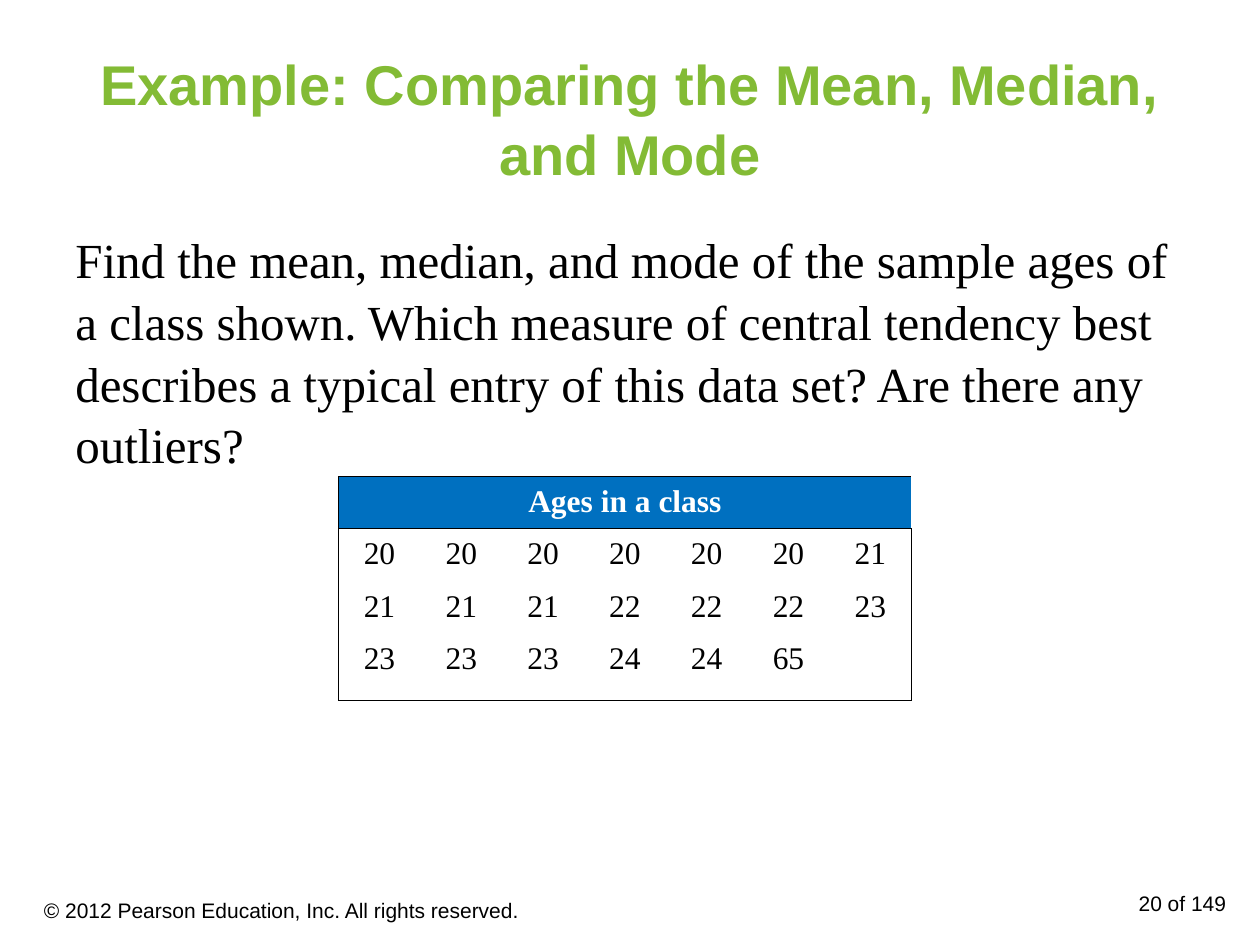
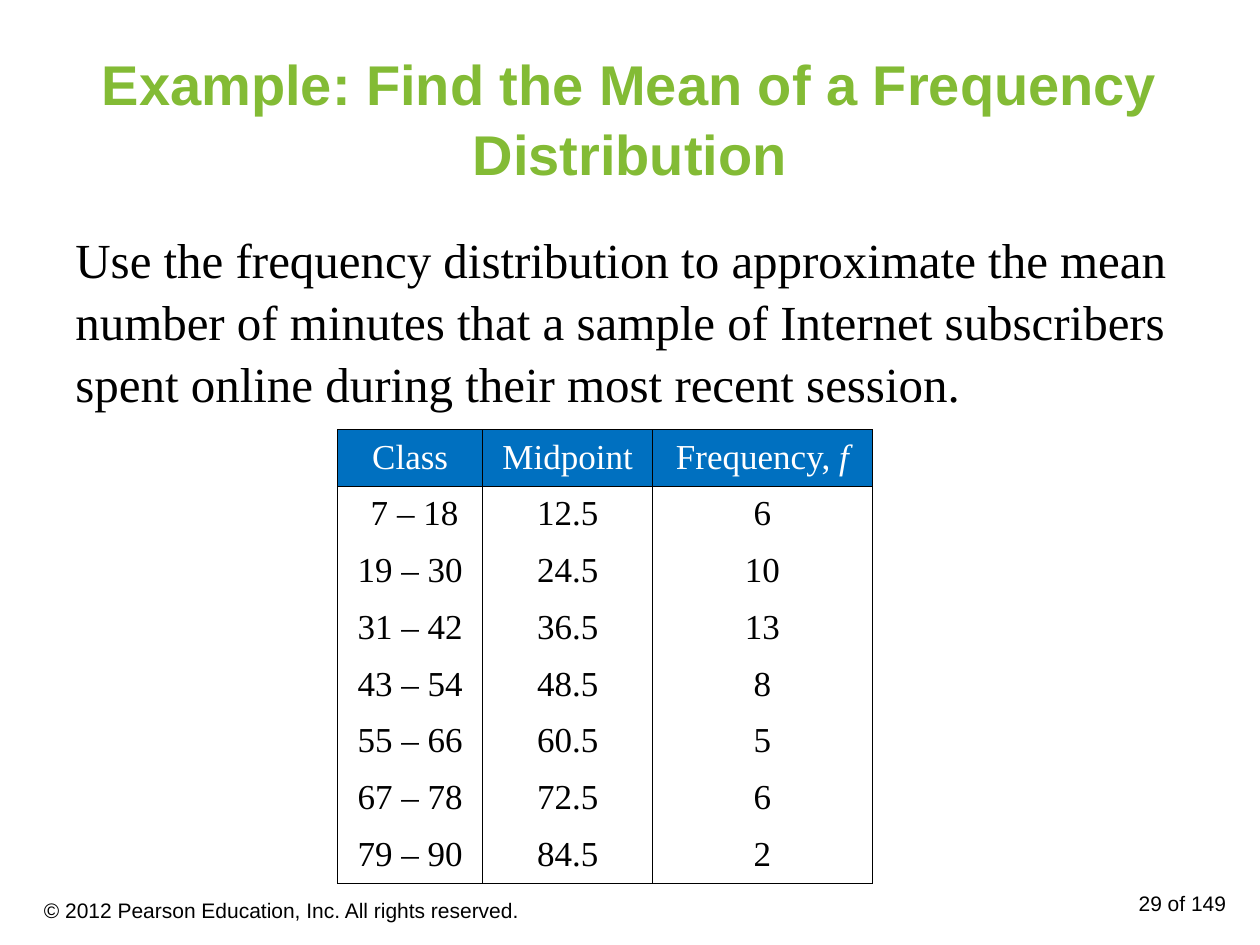
import lxml.etree
import pptx
import pptx.dml.color
import pptx.enum.text
import pptx.oxml.ns
import pptx.util

Pt = pptx.util.Pt
ALIGN = pptx.enum.text.PP_ALIGN
ANCHOR = pptx.enum.text.MSO_ANCHOR

HUES = {"title": "83BB35", "head": "0070C0", "ink": "000000", "pale": "FFFFFF"}
SANS, SERIF = "Arial", "Times New Roman"
LEAD = 1.05
RULE = 0.45
TOTAL = 149

TITLE = (36, 21.6, 648, 90)
NUMBER = (540, 505.44, 167.76, 28.8)
RIGHTS = (18, 505.44, 342, 28.8)

AGES = [
    [20, 20, 20, 20, 20, 20, 21],
    [21, 21, 21, 22, 22, 22, 23],
    [23, 23, 23, 24, 24, 65, ""],
]
MINUTES = [
    [" 7 – 18", 12.5, 6],
    ["19 – 30", 24.5, 10],
    ["31 – 42", 36.5, 13],
    ["43 – 54", 48.5, 8],
    ["55 – 66", 60.5, 5],
    ["67 – 78", 72.5, 6],
    ["79 – 90", 84.5, 2],
]


def color(name):
    return pptx.dml.color.RGBColor.from_string(HUES[name])


def write(para, text, size, face, hue="ink", bold=False, italic=False):
    run = para.add_run()
    run.text = text
    font = run.font
    font.size, font.name = Pt(size), face
    font.bold, font.italic = bold, italic
    font.color.rgb = color(hue)


def label(slide, box, text, size, face, hue="ink", bold=False,
          align=ALIGN.LEFT, anchor=ANCHOR.TOP, lead=1.0):
    frame = slide.shapes.add_textbox(*map(Pt, box)).text_frame
    frame.word_wrap = True
    frame.vertical_anchor = anchor
    para = frame.paragraphs[0]
    para.alignment, para.line_spacing = align, lead
    write(para, text, size, face, hue, bold)


def border(cell, sides):
    """Rule the given sides of a cell and clear the others."""
    qn = pptx.oxml.ns.qn
    props = cell._tc.get_or_add_tcPr()
    for side in "LRTB":
        line = lxml.etree.SubElement(props, qn("a:ln" + side), w=str(Pt(RULE)))
        if side in sides:
            fill = lxml.etree.SubElement(line, qn("a:solidFill"))
            lxml.etree.SubElement(fill, qn("a:srgbClr"), val=HUES["ink"])
        else:
            lxml.etree.SubElement(line, qn("a:noFill"))


def edges(row, col, rows, cols, ruled):
    """Sides to rule: the frame, the head row and, if ruled, the columns."""
    sides = ""
    if col == 0 or ruled:
        sides += "L"
    if col == cols - 1 or ruled:
        sides += "R"
    if row <= 1:
        sides += "T"
    if row in (0, rows - 1):
        sides += "B"
    return sides


def grid(slide, left, top, widths, heights, head, body, size, bold, ruled):
    """Draw a table; each head cell is a list of (text, italic) runs."""
    rows, cols = len(heights), len(widths)
    table = slide.shapes.add_table(rows, cols, Pt(left), Pt(top),
                                   Pt(sum(widths)), Pt(sum(heights))).table
    table.first_row = table.horz_banding = False
    for col, width in zip(table.columns, widths):
        col.width = Pt(width)
    for row, height in zip(table.rows, heights):
        row.height = Pt(height)
    if len(head) == 1:
        table.cell(0, 0).merge(table.cell(0, cols - 1))
    for r in range(rows):
        for c in range(cols):
            cell = table.cell(r, c)
            border(cell, edges(r, c, rows, cols, ruled))
            if r == 0:
                cell.fill.solid()
                cell.fill.fore_color.rgb = color("head")
                runs = head[c] if c < len(head) else []
            else:
                cell.fill.background()
                value = str(body[r - 1][c])
                runs = [(value, False)] if value else []
            para = cell.text_frame.paragraphs[0]
            para.alignment, para.line_spacing = ALIGN.CENTER, LEAD
            for text, italic in runs:
                write(para, text, size, SERIF, "ink" if r else "pale",
                      bold and r == 0, italic)


def page(deck, title, prompt, height, number):
    """Add a slide with its title, prompt and footer."""
    slide = deck.slides.add_slide(deck.slide_layouts[6])
    label(slide, TITLE, title, 32, SANS, "title", True,
          ALIGN.CENTER, ANCHOR.MIDDLE, LEAD)
    label(slide, (36, 126, 648, height), prompt, 28, SERIF, lead=LEAD)
    label(slide, NUMBER, f"{number} of {TOTAL}", 12, SANS, align=ALIGN.RIGHT)
    label(slide, RIGHTS, "© 2012 Pearson Education, Inc. All rights reserved.",
          12, SANS, anchor=ANCHOR.MIDDLE)
    return slide


def main():
    deck = pptx.Presentation()
    deck.slide_width, deck.slide_height = Pt(720), Pt(540)

    slide = page(deck, "Example: Comparing the Mean, Median, and Mode",
                 "Find the mean, median, and mode of the sample ages of a class "
                 "shown. Which measure of central tendency best describes a "
                 "typical entry of this data set? Are there any outliers?",
                 148.3, 20)
    grid(slide, 193.5, 272.2, [46.75] * 7, [29.1] * 3 + [38.3],
         [[("Ages in a class", False)]], AGES, 18, bold=True, ruled=False)

    slide = page(deck, "Example: Find the Mean of a Frequency Distribution",
                 "Use the frequency distribution to approximate the mean number "
                 "of minutes that a sample of Internet subscribers spent online "
                 "during their most recent session.", 116.6, 29)
    grid(slide, 193, 245.5, [82.8, 97.2, 125.3], [31.4] * 8,
         [[("Class", False)], [("Midpoint", False)],
          [("Frequency, ", False), ("f", True)]],
         MINUTES, 20, bold=False, ruled=True)

    deck.save("out.pptx")


if __name__ == "__main__":
    main()
